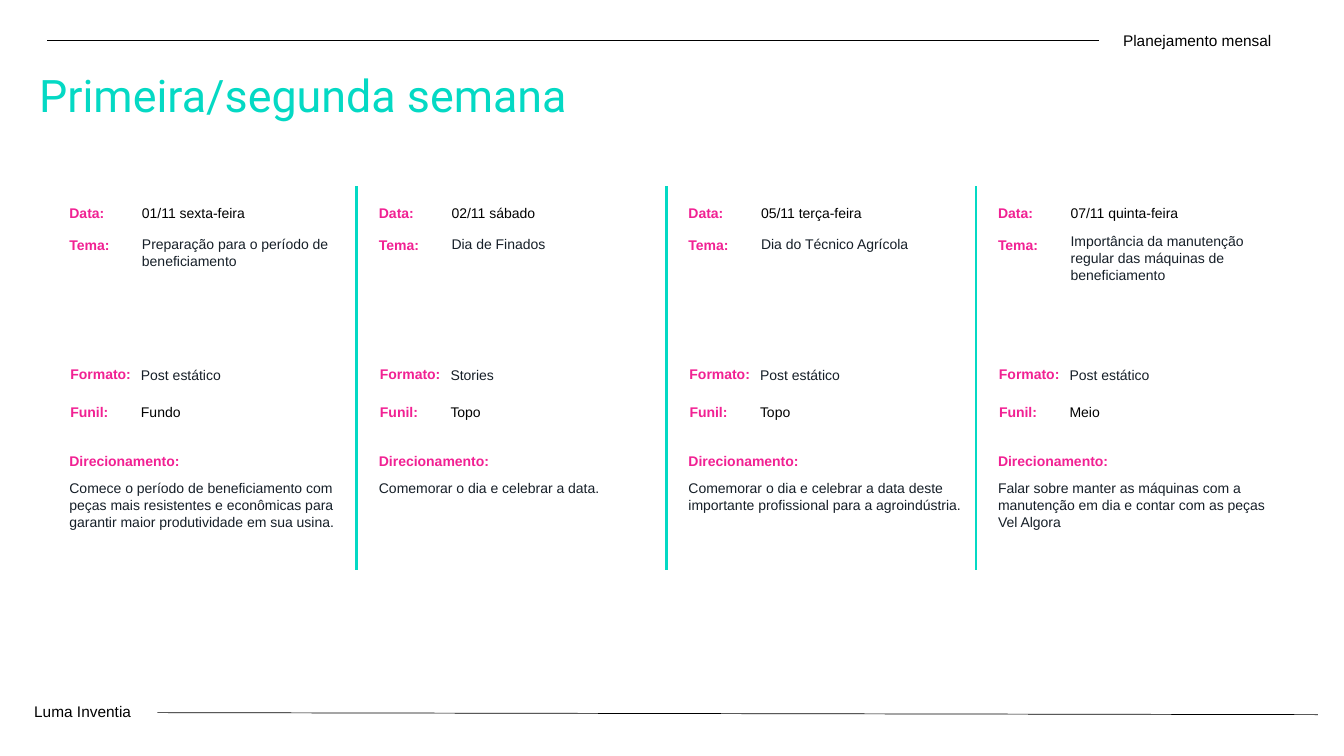
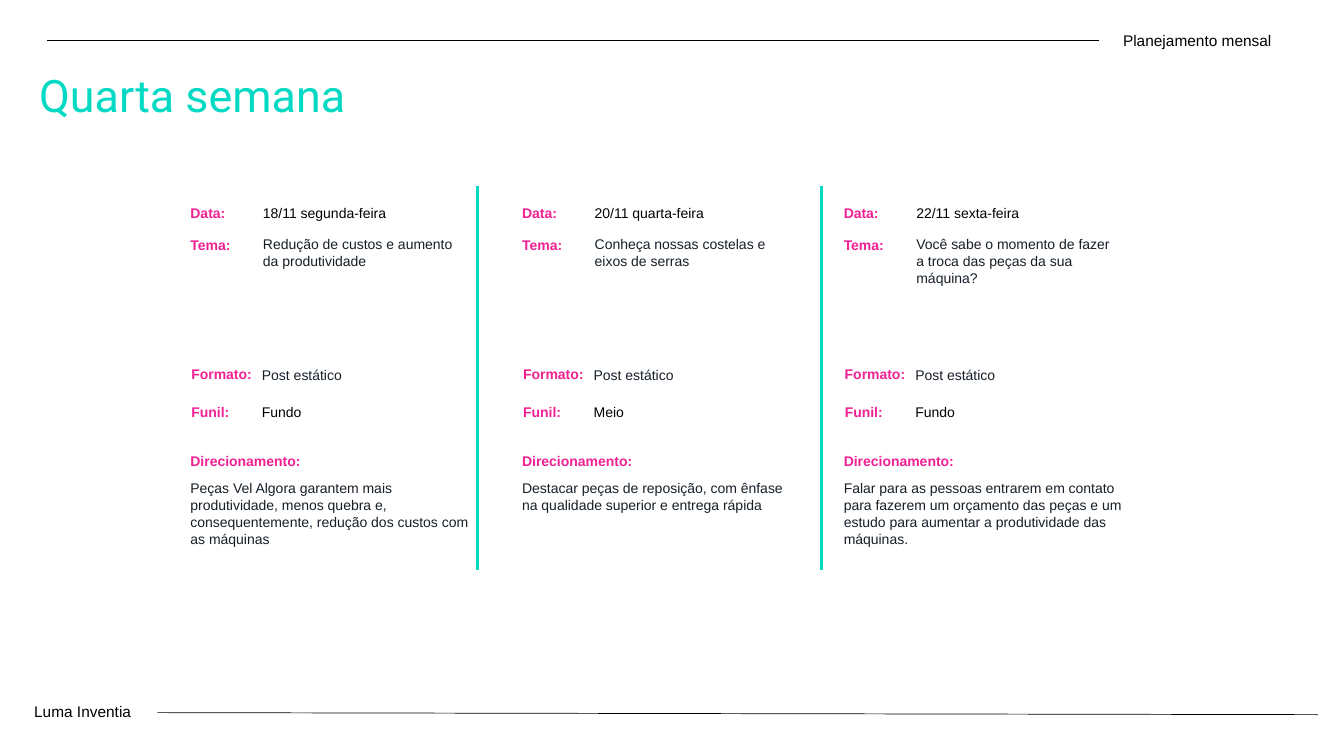
import math
from dataclasses import dataclass

import lxml.etree
import pptx
import pptx.dml.color
import pptx.enum.shapes
import pptx.enum.text
import pptx.oxml.ns
import pptx.util

EMU_PER_PX = 9144  # 100 px to the inch
SLIDE_WIDTH, SLIDE_HEIGHT = 1333, 750

TEAL = "04D9C4"
PINK = "F12193"
BLACK = "000000"
INK = "161F28"

TITLE_FONT = "Roboto"
BODY_FONT = "Arial"

ROW_HEIGHT = 27
LINE_HEIGHT = 17
DIVIDER_TOP, DIVIDER_BOTTOM = 185, 565


@dataclass
class Post:
    date: str
    theme: str
    post_format: str
    funnel: str
    direction: str
    theme_top: int = 229


FIRST_WEEKS = [
    Post("01/11 sexta-feira", "Preparação para o período de beneficiamento",
         "Post estático", "Fundo",
         "Comece o período de beneficiamento com peças mais resistentes e "
         "econômicas para garantir maior produtividade em sua usina."),
    Post("02/11 sábado", "Dia de Finados", "Stories", "Topo",
         "Comemorar o dia e celebrar a data."),
    Post("05/11 terça-feira", "Dia do Técnico Agrícola", "Post estático", "Topo",
         "Comemorar o dia e celebrar a data deste importante profissional "
         "para a agroindústria."),
    Post("07/11 quinta-feira",
         "Importância da manutenção regular das máquinas de beneficiamento",
         "Post estático", "Meio",
         "Falar sobre manter as máquinas com a manutenção em dia e contar "
         "com as peças Vel Algora",
         theme_top=226),
]

FOURTH_WEEK = [
    Post("18/11 segunda-feira", "Redução de custos e aumento da produtividade",
         "Post estático", "Fundo",
         "Peças Vel Algora garantem mais produtividade, menos quebra e, "
         "consequentemente, redução dos custos com as máquinas"),
    Post("20/11 quarta-feira", "Conheça nossas costelas e eixos de serras",
         "Post estático", "Meio",
         "Destacar peças de reposição, com ênfase na qualidade superior "
         "e entrega rápida"),
    Post("22/11 sexta-feira",
         "Você sabe o momento de fazer a troca das peças da sua máquina?",
         "Post estático", "Fundo",
         "Falar para as pessoas entrarem em contato para fazerem um orçamento "
         "das peças e um estudo para aumentar a produtividade das máquinas."),
]


def px(length):
    return pptx.util.Emu(length * EMU_PER_PX)


def color(hex_string):
    return pptx.dml.color.RGBColor.from_string(hex_string)


def text_height(text, characters_per_line):
    """Estimate the height of a box from the lines its text fills."""
    lines = math.ceil(len(text) / characters_per_line)
    return ROW_HEIGHT + (lines - 1) * LINE_HEIGHT


def add_text(slide, text, left, top, width, height=ROW_HEIGHT, size=10,
             hex_color=INK, font=BODY_FONT, bold=False):
    shape = slide.shapes.add_textbox(px(left), px(top), px(width), px(height))
    frame = shape.text_frame
    frame.word_wrap = True
    frame.auto_size = pptx.enum.text.MSO_AUTO_SIZE.SHAPE_TO_FIT_TEXT
    run = frame.paragraphs[0].add_run()
    run.text = text
    run.font.name = font
    run.font.size = pptx.util.Pt(size)
    run.font.bold = bold
    run.font.color.rgb = color(hex_color)


def add_line(slide, start, end, hex_color=BLACK, width=0.5):
    connector = slide.shapes.add_connector(
        pptx.enum.shapes.MSO_CONNECTOR.STRAIGHT,
        px(start[0]), px(start[1]), px(end[0]), px(end[1]))
    connector.line.color.rgb = color(hex_color)
    connector.line.width = pptx.util.Pt(width)
    lxml.etree.SubElement(connector.element.spPr,
                          pptx.oxml.ns.qn("a:effectLst"))


def add_frame(slide, title):
    """Add the title, the header band and the footer band."""
    add_text(slide, title, 29, 62, 871, 64, 32, TEAL, TITLE_FONT)
    add_line(slide, (47, 40), (1090, 40))
    add_text(slide, "Planejamento mensal", 1104, 26, 209, 29, 11, BLACK)
    add_text(slide, "Luma Inventia", 24, 692, 118, 29, 11, BLACK)
    add_line(slide, (156, 707), (1307, 709))


def add_post(slide, post, left):
    labels = [
        ("Data:", 0, 198, 62),
        ("Tema:", 0, 230, 69),
        ("Formato:", 1, 358, 84),
        ("Funil:", 1, 395, 59),
        ("Direcionamento:", 0, 444, 142),
    ]
    for label, indent, top, width in labels:
        add_text(slide, label, left + indent, top, width,
                 hex_color=PINK, bold=True)

    add_text(slide, post.date, left + 72, 198, 155, hex_color=BLACK)
    add_text(slide, post.theme, left + 72, post.theme_top, 222,
             text_height(post.theme, 28))
    add_text(slide, post.post_format, left + 71, 359, 106)
    add_text(slide, post.funnel, left + 71, 395, 63, hex_color=BLACK)
    add_text(slide, post.direction, left, 471, 295,
             text_height(post.direction, 40))


def add_week(presentation, title, posts, column_lefts, divider_lefts):
    slide = presentation.slides.add_slide(presentation.slide_layouts[6])
    add_frame(slide, title)
    for post, left in zip(posts, column_lefts):
        add_post(slide, post, left)
    for left in divider_lefts:
        add_line(slide, (left, DIVIDER_TOP), (left, DIVIDER_BOTTOM), TEAL, 2)


def main():
    presentation = pptx.Presentation()
    presentation.slide_width = px(SLIDE_WIDTH)
    presentation.slide_height = px(SLIDE_HEIGHT)

    first_left, column_step = 59, 307
    column_lefts = [first_left + column_step * index
                    for index in range(len(FIRST_WEEKS))]
    divider_lefts = [left - 12 for left in column_lefts[1:]]
    add_week(presentation, "Primeira/segunda semana", FIRST_WEEKS,
             column_lefts, divider_lefts)
    add_week(presentation, "Quarta semana", FOURTH_WEEK,
             [179, 508, 827], [474, 815])

    presentation.save("out.pptx")


if __name__ == "__main__":
    main()
